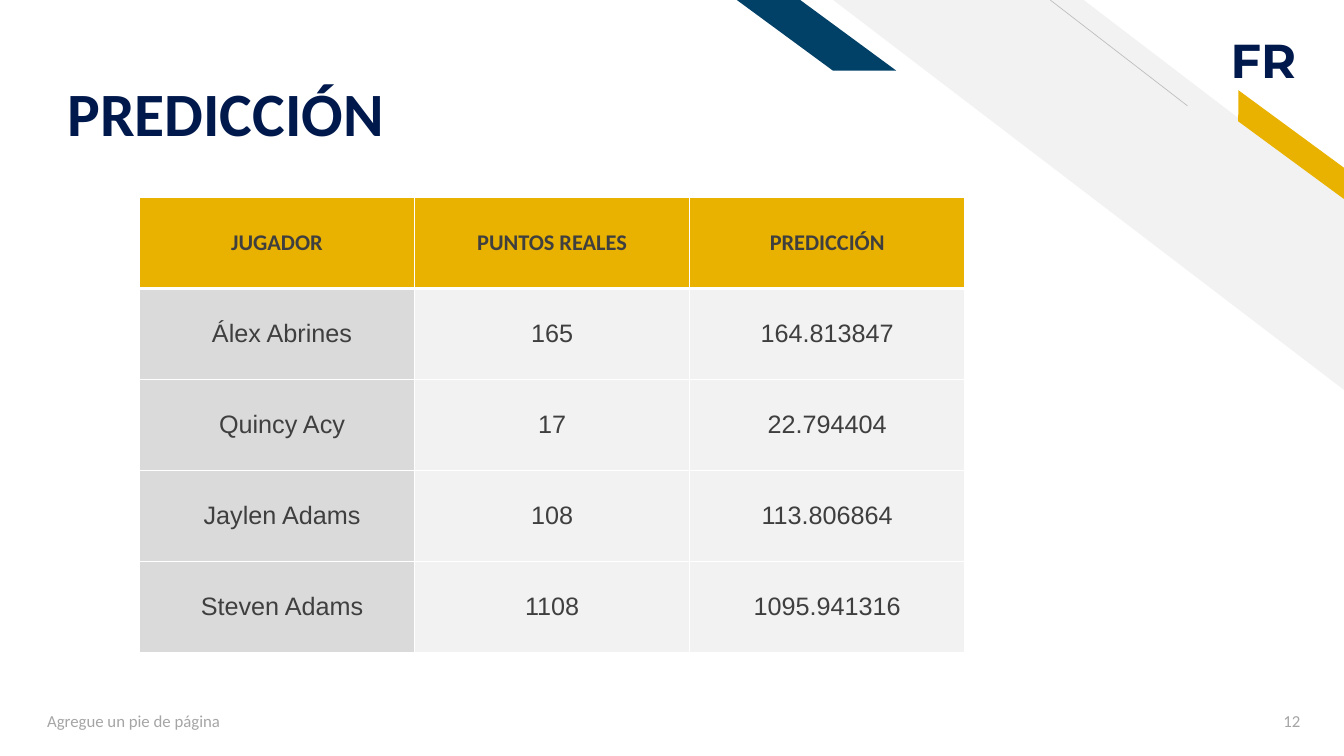
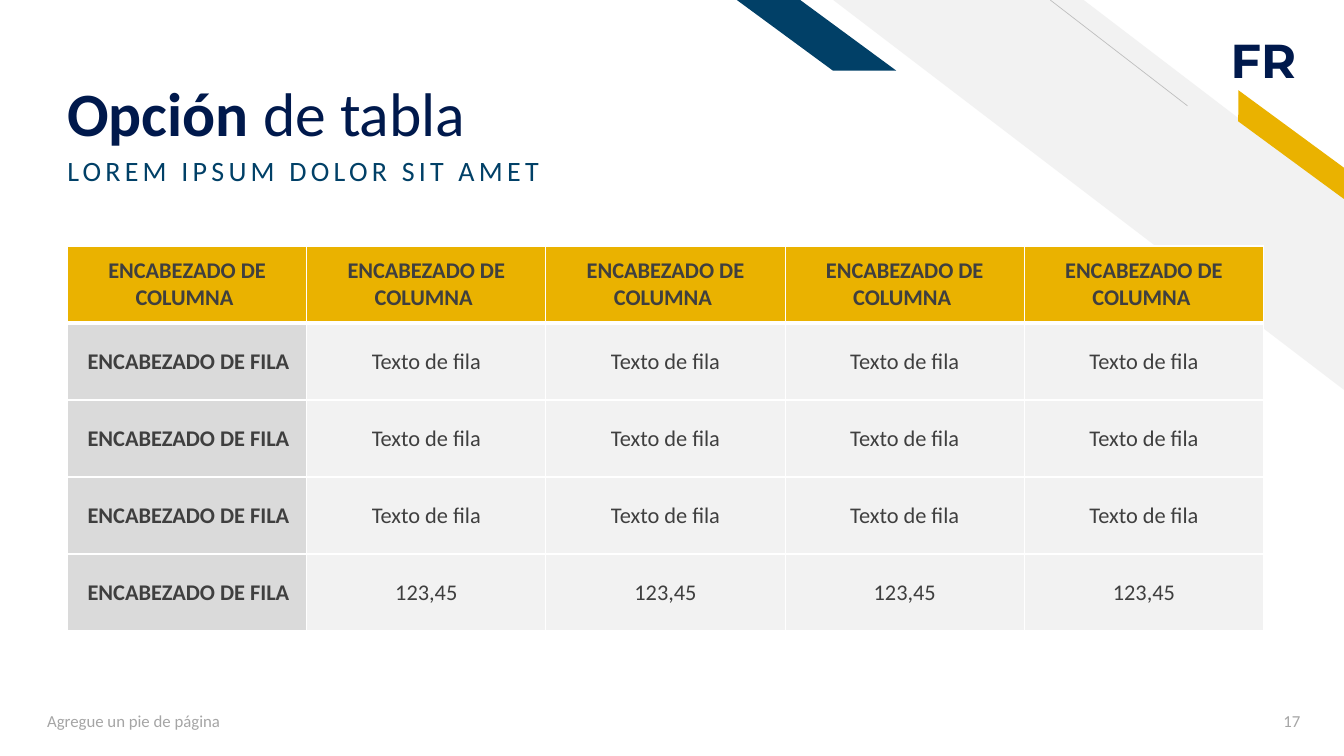
from dataclasses import dataclass
from lxml.etree import SubElement as Sub
from pptx import Presentation as Deck
from pptx.dml.color import RGBColor as RGB
from pptx.enum.shapes import MSO_CONNECTOR as LINK, MSO_SHAPE as KIND
from pptx.enum.text import MSO_ANCHOR as ANCHOR, PP_ALIGN as ALIGN
from pptx.oxml.ns import qn
from pptx.util import Pt


@dataclass(frozen=True)
class Theme:
    # Colours
    navy: str = "00194C"
    blue: str = "014067"
    gold: str = "EAB200"
    pale: str = "F2F2F2"
    grey: str = "DADADA"
    rule: str = "BFBFBF"
    mute: str = "A5A5A5"
    ink: str = "3F3F3F"
    white: str = "FFFFFF"
    # Fonts
    font: str = "Calibri"
    plain: str = "Arial"
    mark: str = "Montserrat"
    # Type sizes
    title: int = 44
    sub: int = 20
    logo: int = 34
    cell: int = 16
    large: int = 18
    foot: int = 12


class Page:
    def __init__(self, deck, theme):
        self.deck, self.theme = deck, theme
        self.slide = None

    def start(self, num):
        """Add a slide with its bands, initials and footer."""
        t = self.theme
        self.slide = self.deck.slides.add_slide(self.deck.slide_layouts[6])
        self.text("FR", 872, 18.7, 64, 48.2, t.logo, t.navy, face=t.mark,
                  bold=True, wrap=False)
        self.band(KIND.DIAGONAL_STRIPE, 595.2, 0, 365, 278.6, 0.51, t.pale)
        self.line(848.2, 75.6, 750.2, 0)
        self.band(KIND.PARALLELOGRAM, 869, 94.3, 106.6, 18, 0.72, t.gold, 36.3)
        self.band(KIND.PARALLELOGRAM, 526.3, 0, 113.8, 50.4, 1.36, t.blue)
        self.text("Agregue un pie de página", 26.6, 500.4, 324, 28.8,
                  t.foot, t.mute, anchor=ANCHOR.MIDDLE)
        self.text(str(num), 877.7, 500.4, 58.3, 28.8, t.foot, t.mute,
                  anchor=ANCHOR.MIDDLE, align=ALIGN.RIGHT)

    def style(self, run, size, tint, face=None, bold=False):
        font = run.font
        font.name, font.size, font.bold = face or self.theme.font, Pt(size), bold
        font.color.rgb = RGB.from_string(tint)

    def text(self, words, x, y, w, h, size, tint, face=None, bold=False,
             anchor=ANCHOR.TOP, align=ALIGN.LEFT, wrap=True):
        frame = self.slide.shapes.add_textbox(
            Pt(x), Pt(y), Pt(w), Pt(h)).text_frame
        frame.word_wrap, frame.vertical_anchor = wrap, anchor
        frame.text = words
        para = frame.paragraphs[0]
        para.alignment = align
        self.style(para.runs[0], size, tint, face, bold)
        return frame

    def title(self, strong, light=""):
        t = self.theme
        frame = self.text(strong, 41, 16.6, 656, 90.7, t.title, t.navy,
                          bold=True, anchor=ANCHOR.BOTTOM)
        frame.margin_bottom = 0
        para = frame.paragraphs[0]
        para.line_spacing = 0.9
        if light:
            run = para.add_run()
            run.text = light
            self.style(run, t.title, t.navy)

    def sub(self, words):
        t = self.theme
        frame = self.text(words, 41, 108.7, 580, 48.2, t.sub, t.blue)
        para = frame.paragraphs[0]
        para.line_spacing = 0.9
        para.runs[0].font._element.set("spc", "300")

    def band(self, kind, x, y, w, h, slant, tint, turn=0):
        """Draw a slanted band, mirrored left to right."""
        shape = self.slide.shapes.add_shape(kind, Pt(x), Pt(y), Pt(w), Pt(h))
        shape.adjustments[0] = slant
        shape.rotation = turn
        shape._element.spPr.find(qn("a:xfrm")).set("flipH", "1")
        shape.shadow.inherit = False
        shape.fill.solid()
        shape.fill.fore_color.rgb = RGB.from_string(tint)
        shape.line.fill.background()

    def line(self, x1, y1, x2, y2):
        link = self.slide.shapes.add_connector(
            LINK.STRAIGHT, Pt(x1), Pt(y1), Pt(x2), Pt(y2))
        link.line.width = Pt(0.5)
        link.line.color.rgb = RGB.from_string(self.theme.rule)
        Sub(link._element.spPr, qn("a:effectLst"))

    def edge(self, cell, side, width):
        ln = Sub(cell._tc.get_or_add_tcPr(), qn("a:ln" + side), w=str(Pt(width)))
        fill = Sub(ln, qn("a:solidFill"))
        Sub(fill, qn("a:srgbClr"), val=self.theme.white)

    def table(self, rows, x, y, wide, high, face=None, size=None,
              strong=False, side=ALIGN.CENTER):
        """Draw a table; strong and side style the row heads."""
        t = self.theme
        count = len(rows[0])
        grid = self.slide.shapes.add_table(
            len(rows), count, Pt(x), Pt(y),
            Pt(wide * count), Pt(high * len(rows))).table
        grid.horz_banding = False
        for col in grid.columns:
            col.width = Pt(wide)
        for r, row in enumerate(rows):
            grid.rows[r].height = Pt(high)
            for c, words in enumerate(row):
                cell = grid.cell(r, c)
                top, head = r == 0, r > 0 and c == 0
                # Borders come before the fill
                for name in "LRTB":
                    thick = (r, name) in ((0, "B"), (1, "T"))
                    self.edge(cell, name, 3 if thick else 1)
                cell.fill.solid()
                cell.fill.fore_color.rgb = RGB.from_string(
                    t.gold if top else t.grey if head else t.pale)
                cell.vertical_anchor = ANCHOR.MIDDLE
                if head:
                    cell.margin_left = Pt(14.4)
                # Text
                cell.text_frame.text = words
                para = cell.text_frame.paragraphs[0]
                para.alignment = side if head else ALIGN.CENTER
                self.style(para.runs[0], t.cell if top else size or t.cell,
                           t.ink, None if top else face,
                           top or (head and strong))


def main():
    deck = Deck()
    deck.slide_width, deck.slide_height = Pt(960), Pt(540)
    theme = Theme()
    page = Page(deck, theme)

    # Predicted points
    page.start(12)
    page.title("PREDICCIÓN")
    page.table([
        ("JUGADOR", "PUNTOS REALES", "PREDICCIÓN"),
        ("Álex Abrines", "165", "164.813847"),
        ("Quincy Acy", "17", "22.794404"),
        ("Jaylen Adams", "108", "113.806864"),
        ("Steven Adams", "1108", "1095.941316"),
    ], 99.6, 141.1, 196.5, 65, theme.plain, theme.large)

    # Sample table
    page.start(17)
    page.title("Opción ", "de tabla")
    page.sub("LOREM IPSUM DOLOR SIT AMET")
    body = ["Texto de fila"] * 3 + ["123,45"]
    rows = [["ENCABEZADO DE COLUMNA "] * 5]
    rows += [["ENCABEZADO DE FILA"] + [words] * 4 for words in body]
    page.table(rows, 48.2, 175.7, 170.9, 55, strong=True, side=ALIGN.LEFT)

    deck.save("out.pptx")


if __name__ == "__main__":
    main()
